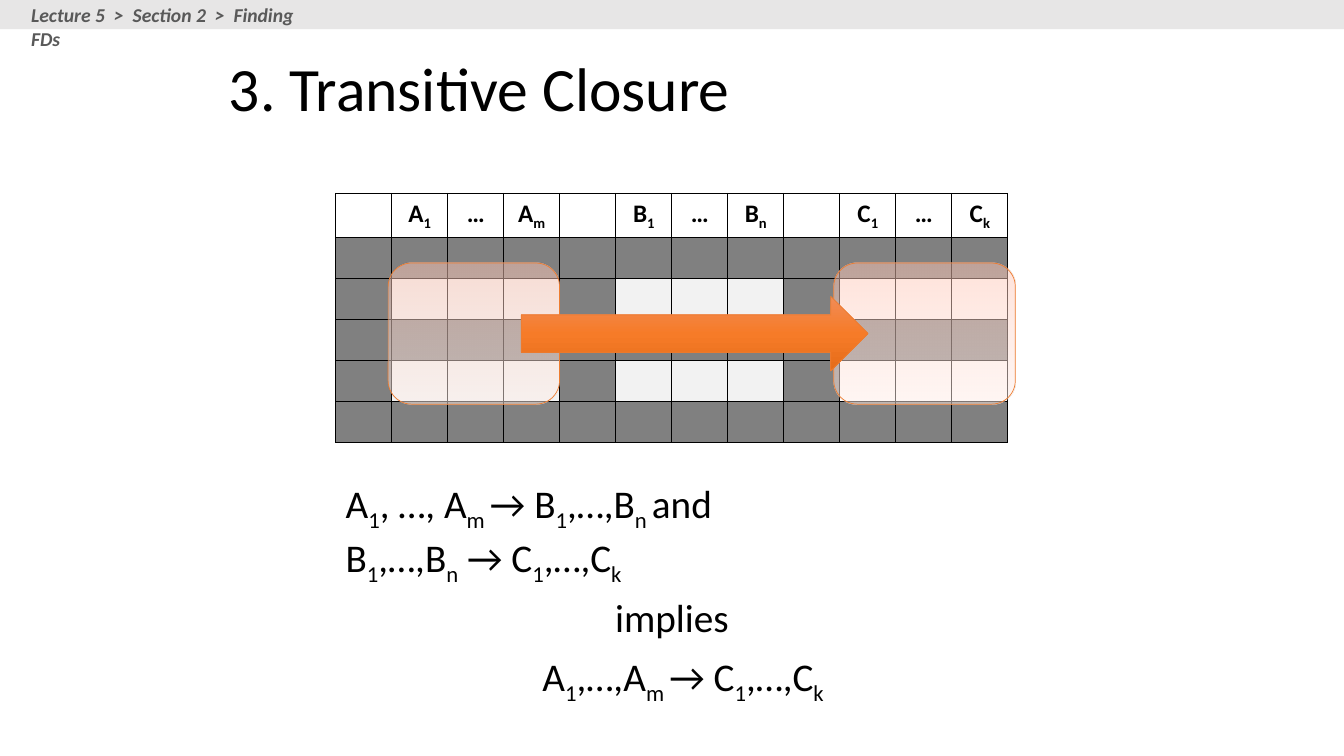
from lxml import etree
from pptx import Presentation
from pptx.dml.color import RGBColor
from pptx.enum.shapes import MSO_SHAPE
from pptx.enum.text import MSO_ANCHOR, PP_ALIGN
from pptx.oxml import parse_xml
from pptx.util import Inches, Pt

NS = 'xmlns:a="http://schemas.openxmlformats.org/drawingml/2006/main"'
BLACK = RGBColor(0x00, 0x00, 0x00)
WHITE = RGBColor(0xFF, 0xFF, 0xFF)
GRAY = RGBColor(0x80, 0x80, 0x80)
PALE = RGBColor(0xF2, 0xF2, 0xF2)
BAR = RGBColor(0xE7, 0xE6, 0xE6)
CRUMB = RGBColor(0x59, 0x59, 0x59)
ORANGE = RGBColor(0xED, 0x7D, 0x31)
BOX_STOPS = [(0, "FFC7B6"), (35, "FFD7CB"), (100, "FFF0EB")]
ARROW_STOPS = [(0, "F18C57"), (50, "F67B28"), (100, "E56C19")]


def write(paragraph, text, size, color=BLACK, bold=False, italic=False):
    for i, part in enumerate(text.split("|")):
        if not part:
            continue
        run = paragraph.add_run()
        run.text = part
        font = run.font
        font.name, font.size, font.bold, font.italic = "Calibri", Pt(size), bold, italic
        font.color.rgb = color
        if i % 2:
            font._element.set("baseline", "-25000")


def add_gradient_shape(kind, left, top, width, height, stops, opacity):
    shape = slide.shapes.add_shape(kind, Inches(left), Inches(top), Inches(width), Inches(height))
    shape.shadow.inherit = False
    shape.line.color.rgb = ORANGE
    shape.line.width = Pt(0.5)
    shape.fill.gradient()
    gradient = shape._element.spPr.find("{*}gradFill")
    stop_xml = "".join(
        f'<a:gs pos="{pos * 1000}"><a:srgbClr val="{color}">'
        f'<a:alpha val="{opacity * 1000}"/></a:srgbClr></a:gs>'
        for pos, color in stops)
    gradient.getparent().replace(gradient, parse_xml(
        f'<a:gradFill {NS} rotWithShape="1"><a:gsLst>{stop_xml}</a:gsLst>'
        '<a:lin ang="5400000" scaled="0"/></a:gradFill>'))


prs = Presentation()
prs.slide_width, prs.slide_height = Inches(13.33), Inches(7.5)
slide = prs.slides.add_slide(prs.slide_layouts[5])

title = slide.shapes.title
title.left, title.top, title.width, title.height = map(Inches, (2.17, 0.28, 9, 1.25))
title.text_frame.vertical_anchor = MSO_ANCHOR.MIDDLE
heading = title.text_frame.paragraphs[0]
heading.alignment = PP_ALIGN.LEFT
heading.line_spacing = 0.9
write(heading, "3. Transitive Closure", 44)

headers = ["", "A|1", "…", "A|m", "", "B|1", "…", "B|n", "", "C|1", "…", "C|k"]
frame = slide.shapes.add_table(6, len(headers), Inches(3.33), Inches(1.92), Inches(6.67), Inches(2.43))
table = frame.table
for r, row in enumerate(table.rows):
    for c, cell in enumerate(row.cells):
        for side in "LRTB":
            etree.SubElement(cell._tc.get_or_add_tcPr(), "{http://schemas.openxmlformats.org/drawingml/2006/main}ln" + side, w="12700").append(
                parse_xml(f'<a:solidFill {NS}><a:srgbClr val="000000"/></a:solidFill>'))
        cell.fill.solid()
        if r == 0:
            cell.fill.fore_color.rgb = WHITE
            paragraph = cell.text_frame.paragraphs[0]
            paragraph.alignment = PP_ALIGN.CENTER
            write(paragraph, headers[c], 18, bold=True)
        elif r in (2, 4) and headers[c]:
            cell.fill.fore_color.rgb = WHITE if c > 8 else PALE
        else:
            cell.fill.fore_color.rgb = GRAY

rules = [
    (3.33, 4.71, 1.04, PP_ALIGN.LEFT, ["A|1|, …, A|m |→ B|1|,…,B|n |and", "B|1|,…,B|n| → C|1|,…,C|k"]),
    (3.33, 5.84, 0.57, PP_ALIGN.CENTER, ["implies"]),
    (3.44, 6.42, 0.57, PP_ALIGN.CENTER, ["A|1|,…,A|m |→ C|1|,…,C|k"]),
]
for left, top, height, alignment, lines in rules:
    text_frame = slide.shapes.add_textbox(Inches(left), Inches(top), Inches(6.67), Inches(height)).text_frame
    text_frame.word_wrap = True
    for i, line in enumerate(lines):
        paragraph = text_frame.add_paragraph() if i else text_frame.paragraphs[0]
        paragraph.alignment = alignment
        write(paragraph, line, 28)

for left, width in ((3.85, 1.7), (8.27, 1.8)):
    add_gradient_shape(MSO_SHAPE.ROUNDED_RECTANGLE, left, 2.61, width, 1.4, BOX_STOPS, 50)
add_gradient_shape(MSO_SHAPE.RIGHT_ARROW, 5.17, 2.94, 3.44, 0.74, ARROW_STOPS, 100)

bar = slide.shapes.add_shape(MSO_SHAPE.RECTANGLE, 0, 0, prs.slide_width, Inches(0.29))
bar.shadow.inherit = False
bar.fill.solid()
bar.fill.fore_color.rgb = BAR
bar.line.fill.background()

breadcrumb = slide.shapes.add_textbox(Inches(0.21), Inches(-0.02), Inches(3.1), Inches(0.34)).text_frame
breadcrumb.word_wrap = True
write(breadcrumb.paragraphs[0], "Lecture 5  >  Section 2  >  Finding FDs", 14, CRUMB, bold=True, italic=True)

prs.save("out.pptx")
